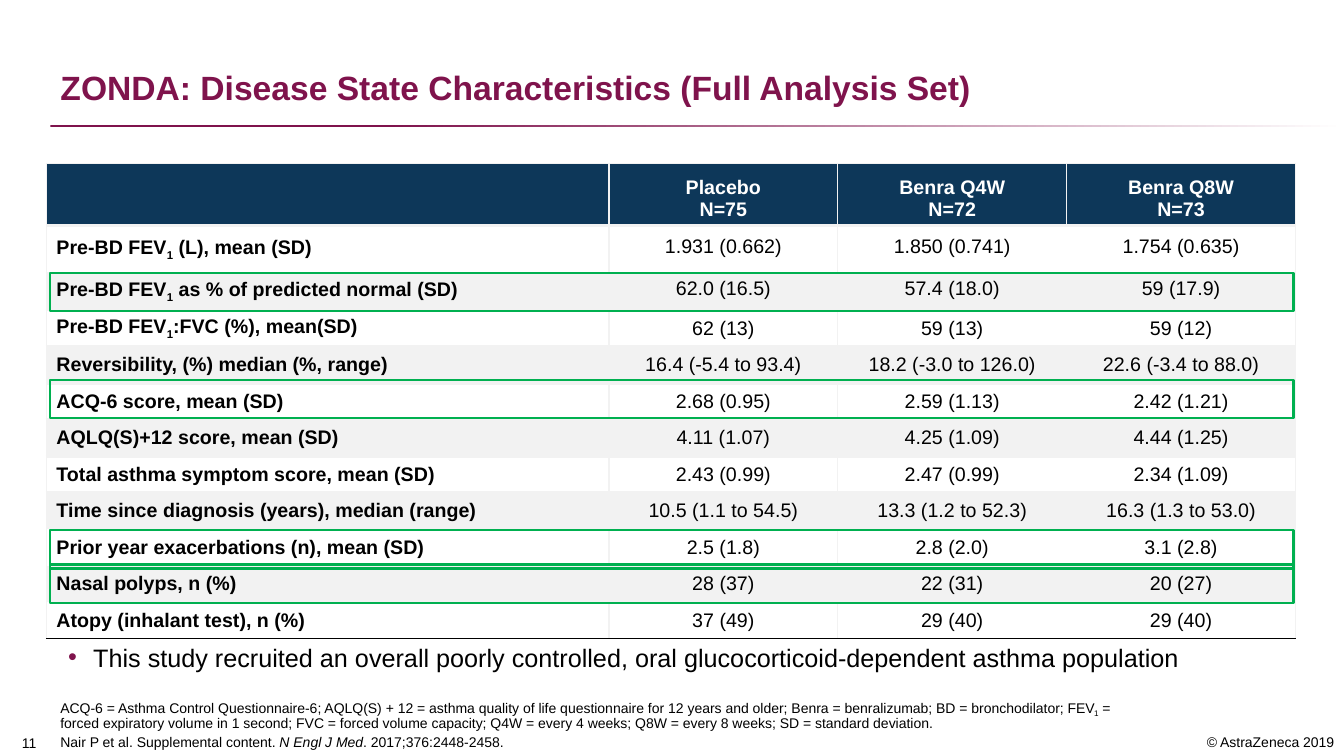
from lxml import etree
from pptx import Presentation
from pptx.dml.color import RGBColor
from pptx.enum.shapes import MSO_SHAPE as SHAPE
from pptx.enum.text import MSO_ANCHOR as ANCHOR, MSO_AUTO_SIZE as AUTO, PP_ALIGN as ALIGN
from pptx.oxml.ns import qn
from pptx.util import Inches, Pt

COLORS = {"plum": "7F134C", "navy": "0D3759", "grey": "F2F2F2",
          "green": "00B050", "black": "000000", "white": "FFFFFF"}
FONT = "Arial"

HEADERS = ["", "Placebo\nN=75", "Benra Q4W\nN=72", "Benra Q8W\nN=73"]
# Text between bars is a subscript.
ROWS = [
    ["Pre-BD FEV|1| (L), mean (SD)", "1.931 (0.662)", "1.850 (0.741)", "1.754 (0.635)"],
    ["Pre-BD FEV|1| as % of predicted normal (SD)", "62.0 (16.5)", "57.4 (18.0)", "59 (17.9)"],
    ["Pre-BD FEV|1|:FVC (%), mean(SD)", "62 (13)", "59 (13)", "59 (12)"],
    ["Reversibility, (%) median (%, range)", "16.4 (-5.4 to 93.4)",
     "18.2 (-3.0 to 126.0)", "22.6 (-3.4 to 88.0)"],
    ["ACQ-6 score, mean (SD)", "2.68 (0.95)", "2.59 (1.13)", "2.42 (1.21)"],
    ["AQLQ(S)+12 score, mean (SD)", "4.11 (1.07)", "4.25 (1.09)", "4.44 (1.25)"],
    ["Total asthma symptom score, mean (SD)", "2.43 (0.99)", "2.47 (0.99)", "2.34 (1.09)"],
    ["Time since diagnosis (years), median (range)", "10.5 (1.1 to 54.5)",
     "13.3 (1.2 to 52.3)", "16.3 (1.3 to 53.0)"],
    ["Prior year exacerbations (n), mean (SD)", "2.5 (1.8)", "2.8 (2.0)", "3.1 (2.8)"],
    ["Nasal polyps, n (%)", "28 (37)", "22 (31)", "20 (27)"],
    ["Atopy (inhalant test), n (%)", "37 (49)", "29 (40)", "29 (40)"],
]
COL_WIDTHS = [5.58] + [2.27] * 3
ROW_HEIGHTS = [0.62, 0.47] + [3.62 / 10] * 10
HIGHLIGHT_TOPS = [2.71, 3.77, 5.26, 5.6]
ABBREVIATIONS = (
    "ACQ-6 = Asthma Control Questionnaire-6; AQLQ(S) + 12 = asthma quality of life "
    "questionnaire for 12 years and older; Benra = benralizumab; BD = bronchodilator; "
    "FEV|1| = forced expiratory volume in 1 second; FVC = forced volume capacity; "
    "Q4W = every 4 weeks; Q8W = every 8 weeks; SD = standard deviation.")
CITATION = "Nair P et al. Supplemental content. |N Engl J Med|. 2017;376:2448-2458."


def rgb(name):
    return RGBColor.from_string(COLORS[name])


def subscript(r):
    r.font._element.set("baseline", "-25000")


def italic(r):
    r.font.italic = True


class SlideBuilder:
    def __init__(self, prs):
        self.s = prs.slides.add_slide(prs.slide_layouts[5])

    def add_runs(self, p, text, size, color="black", bold=False, align=ALIGN.LEFT, mark=subscript):
        """Fill a paragraph; every second part between bars gets the mark."""
        p.alignment = align
        for i, part in enumerate(text.split("|")):
            r = p.add_run()
            r.text = part
            r.font.name, r.font.size, r.font.bold = FONT, Pt(size), bold
            r.font.color.rgb = rgb(color)
            if i % 2:
                mark(r)

    def title(self, text, box):
        sp = self.s.shapes.title
        sp.left, sp.top, sp.width, sp.height = map(Inches, box)
        tf = sp.text_frame
        tf.word_wrap, tf.vertical_anchor, tf.auto_size = True, ANCHOR.BOTTOM, AUTO.NONE
        tf.paragraphs[0].line_spacing = 0.9
        self.add_runs(tf.paragraphs[0], text, 24, "plum", True)

    def text_box(self, box, anchor=ANCHOR.TOP):
        tf = self.s.shapes.add_textbox(*map(Inches, box)).text_frame
        tf.word_wrap, tf.vertical_anchor = True, anchor
        return tf

    def label(self, text, box, align, anchor=ANCHOR.TOP):
        tf = self.text_box(box, anchor)
        self.add_runs(tf.paragraphs[0], text, 10, align=align)
        return tf

    def bullet(self, text, box):
        tf = self.text_box(box)
        tf.word_wrap, tf.auto_size = False, AUTO.SHAPE_TO_FIT_TEXT
        p = tf.paragraphs[0]
        pPr = p._p.get_or_add_pPr()
        pPr.set("marL", str(Inches(0.31)))
        pPr.set("indent", str(Inches(-0.25)))
        color = etree.SubElement(pPr, qn("a:buClr"))
        etree.SubElement(color, qn("a:srgbClr"), val=COLORS["plum"])
        etree.SubElement(pPr, qn("a:buFont"), typeface=FONT)
        etree.SubElement(pPr, qn("a:buChar"), char="•")
        self.add_runs(p, text, 18, align=ALIGN.CENTER)

    def footnotes(self, box):
        tf = self.text_box(box, ANCHOR.BOTTOM)
        first, second = tf.paragraphs[0], tf.add_paragraph()
        first.line_spacing = second.line_spacing = 0.9
        second.space_before = Pt(3)
        self.add_runs(first, ABBREVIATIONS, 10)
        self.add_runs(second, CITATION, 10, mark=italic)

    def rectangle(self, box):
        sp = self.s.shapes.add_shape(SHAPE.RECTANGLE, *map(Inches, box))
        sp.shadow.inherit = False
        return sp

    def fading_rule(self, box):
        sp = self.rectangle(box)
        sp.line.fill.background()
        sp.fill.gradient()
        sp.fill.gradient_angle = 0
        for stop, position, color in zip(sp.fill.gradient_stops, (0.26, 1), ("plum", "white")):
            stop.position, stop.color.rgb = position, rgb(color)

    def highlight(self, box):
        sp = self.rectangle(box)
        sp.fill.background()
        sp.line.color.rgb, sp.line.width = rgb("green"), Pt(1.5)

    def cell_borders(self, cell, borders):
        """Draw the (color, width) given per side L, R, T, B; None hides it."""
        tcPr = cell._tc.get_or_add_tcPr()
        for side, border in zip("LRTB", borders):
            color, width = border or ("white", 0)
            ln = etree.SubElement(tcPr, qn(f"a:ln{side}"), w=str(Pt(width)))
            fill = etree.SubElement(ln, qn("a:solidFill" if border else "a:noFill"))
            if border:
                etree.SubElement(fill, qn("a:srgbClr"), val=COLORS[color])

    def table(self, left, top):
        rows = [HEADERS] + ROWS
        last, thin, thick = len(ROWS), ("grey", 1), ("grey", 2.25)
        size = map(Inches, (left, top, sum(COL_WIDTHS), sum(ROW_HEIGHTS)))
        table = self.s.shapes.add_table(len(rows), len(HEADERS), *size).table
        for col, width in zip(table.columns, COL_WIDTHS):
            col.width = Inches(width)
        for row, height in zip(table.rows, ROW_HEIGHTS):
            row.height = Inches(height)
        for i, row in enumerate(rows):
            header = i == 0
            for j, text in enumerate(row):
                cell = table.cell(i, j)
                self.cell_borders(cell, [
                    thin if header or j < 3 else None,
                    thin if header or j != 2 else None,
                    thin if header else thick if i < 9 else None,
                    thick if i < 8 else ("black", 1) if i == last else None])
                cell.fill.solid()
                cell.fill.fore_color.rgb = rgb("navy" if header else ("grey", "white")[i % 2])
                cell.vertical_anchor = ANCHOR.BOTTOM if header else ANCHOR.MIDDLE
                if i > 2 and j:
                    cell.margin_left = cell.margin_right = Inches(0.01)
                    cell.margin_top = cell.margin_bottom = 0
                tf = cell.text_frame
                for k, line in enumerate(text.split("\n")):
                    p = tf.add_paragraph() if k else tf.paragraphs[0]
                    if i in (1, 2) and j:
                        p.line_spacing = Pt(12)
                    self.add_runs(p, line, 14, "white" if header else "black",
                                  header or j == 0, ALIGN.CENTER if j else ALIGN.LEFT)


def main():
    prs = Presentation()
    prs.slide_width, prs.slide_height = Inches(13.33), Inches(7.5)
    b = SlideBuilder(prs)
    b.label("© AstraZeneca 2019", (11.11, 7.23, 2.22, 0.27), ALIGN.RIGHT)
    b.fading_rule((0.5, 1.24, 12.83, 0.02))
    b.title("ZONDA: Disease State Characteristics (Full Analysis Set)", (0.5, 0.25, 12.33, 0.87))
    number = b.label("11", (0, 7.21, 0.53, 0.29), ALIGN.CENTER, ANCHOR.BOTTOM)
    number.margin_right = Inches(0.05)
    b.footnotes((0.5, 6.4, 10.78, 1.1))
    b.table(0.46, 1.62)
    b.bullet("This study recruited an overall poorly controlled, oral "
             "glucocorticoid-dependent asthma population", (0.46, 6.32, 11.39, 0.4))
    for top in HIGHLIGHT_TOPS:
        b.highlight((0.5, top, 12.33, 0.38))
    prs.save("out.pptx")


if __name__ == "__main__":
    main()
